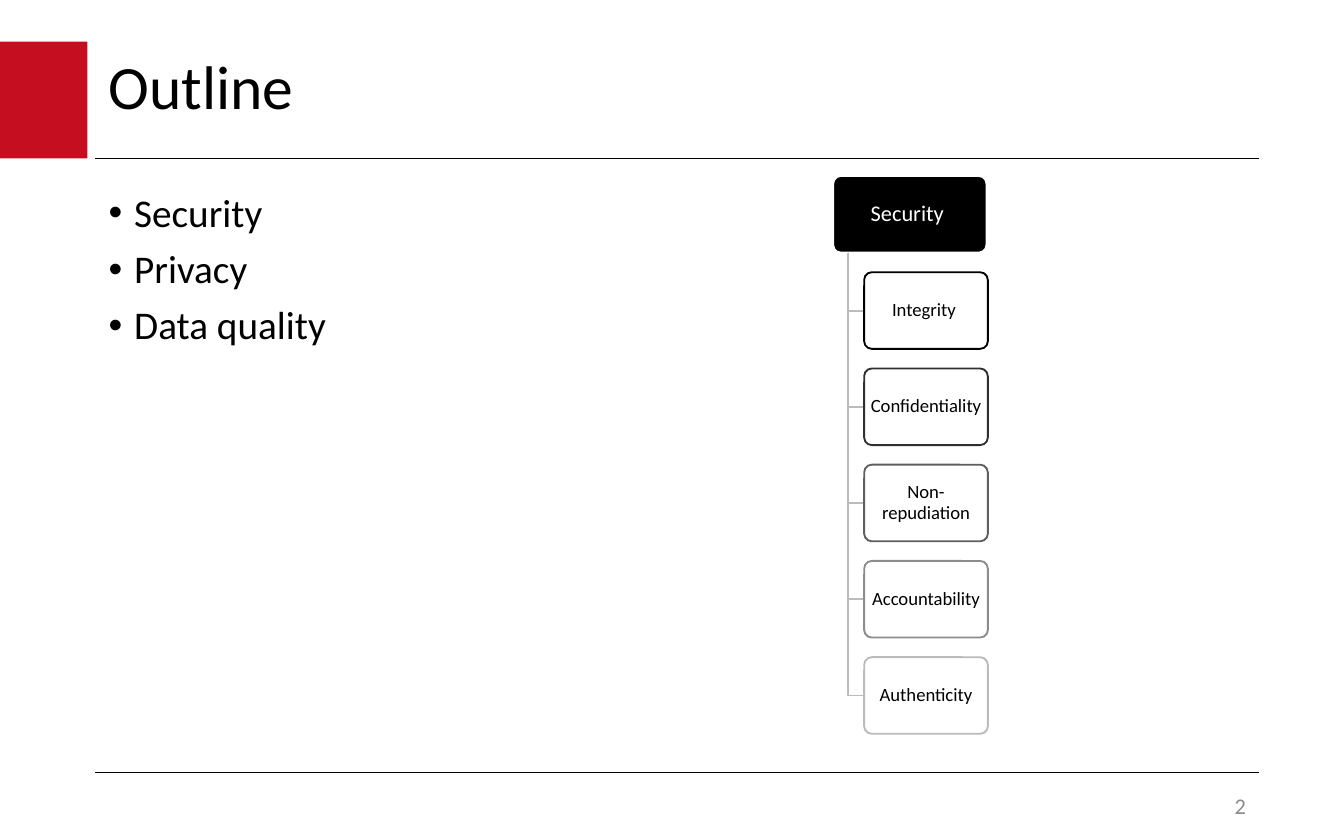
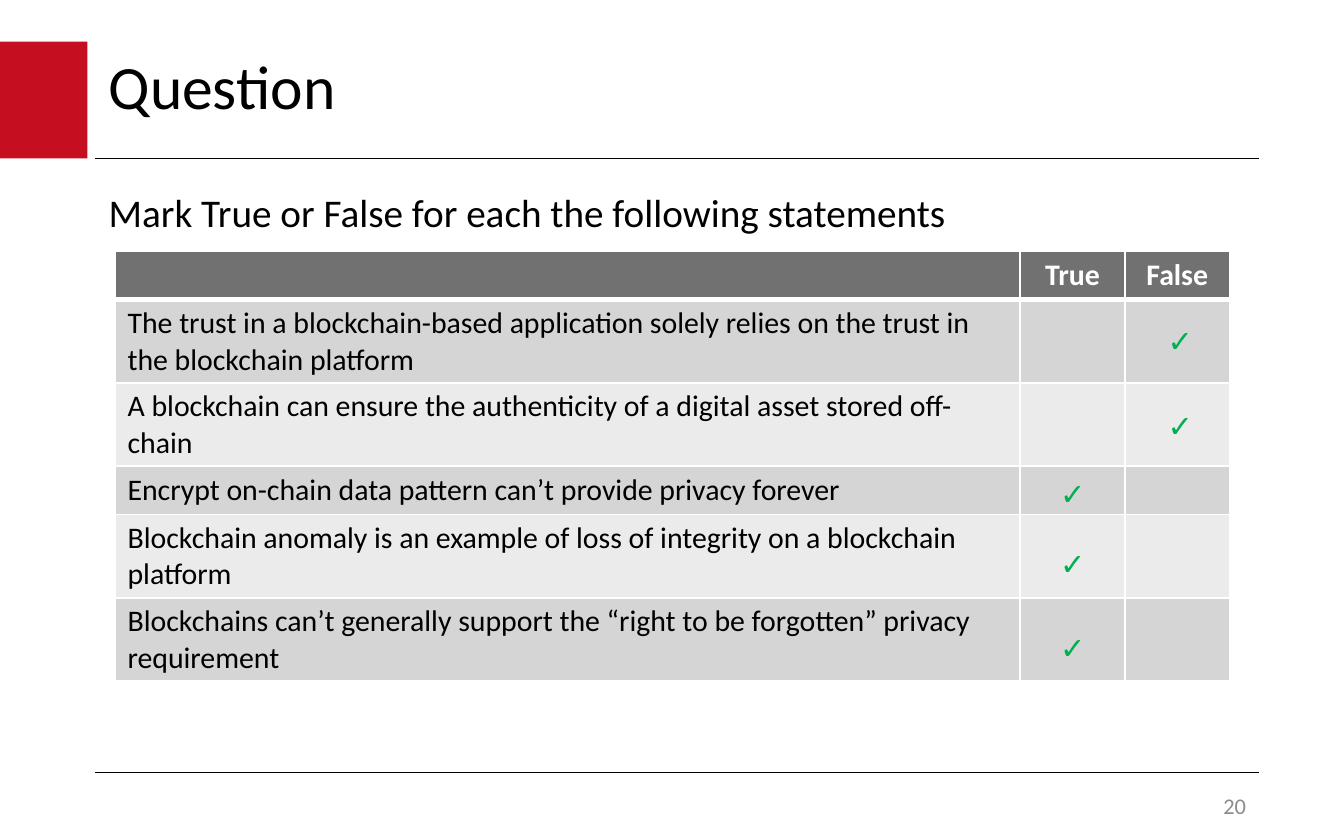
"""Build the outline and true-or-false question slides of a blockchain lecture."""
from lxml import etree
from pptx import Presentation
from pptx.dml.color import RGBColor
from pptx.enum.shapes import MSO_CONNECTOR, MSO_SHAPE
from pptx.enum.text import MSO_ANCHOR, PP_ALIGN
from pptx.oxml.ns import qn
from pptx.util import Inches, Pt

RECTANGLE, ROUNDED = MSO_SHAPE.RECTANGLE, MSO_SHAPE.ROUNDED_RECTANGLE
STRAIGHT = MSO_CONNECTOR.STRAIGHT
LEFT, CENTER, RIGHT = PP_ALIGN.LEFT, PP_ALIGN.CENTER, PP_ALIGN.RIGHT
TOP, MIDDLE = MSO_ANCHOR.TOP, MSO_ANCHOR.MIDDLE

BLACK = RGBColor(0x00, 0x00, 0x00)
WHITE = RGBColor(0xFF, 0xFF, 0xFF)
RED = RGBColor(0xC5, 0x0E, 0x1F)
GREEN = RGBColor(0x00, 0xB0, 0x50)
NUMBER_GRAY = RGBColor(0x8C, 0x8C, 0x8C)
BRANCH_GRAY = RGBColor(0xBB, 0xBB, 0xBB)
HEADER_GRAY = RGBColor(0x71, 0x71, 0x71)
BAND_GRAYS = [RGBColor(0xEB, 0xEB, 0xEB), RGBColor(0xD5, 0xD5, 0xD5)]
FONT, TICK_FONT = "Calibri", "Roboto"


def write(text_frame, text, size, color, align=LEFT, spacing=0.9, bold=False, font=FONT):
    text_frame.text = text
    for paragraph in text_frame.paragraphs:
        paragraph.alignment = align
        paragraph.line_spacing = spacing
        for run in paragraph.runs:
            run.font.name = font
            run.font.size = Pt(size)
            run.font.bold = bold
            run.font.color.rgb = color


def add_text_frame(slide, left, top, width, height, anchor=TOP, wrap=True):
    box = slide.shapes.add_textbox(Inches(left), Inches(top), Inches(width), Inches(height))
    box.text_frame.word_wrap = wrap
    box.text_frame.vertical_anchor = anchor
    return box.text_frame


presentation = Presentation()
presentation.slide_width = Inches(10)
presentation.slide_height = Inches(6.25)

slides, bodies = [], []
for title, body, number in [
    ("Outline", "Security\nPrivacy\nData quality", "2"),
    ("Question", "Mark True or False for each the following statements", "20"),
]:
    slide = presentation.slides.add_slide(presentation.slide_layouts[6])
    block = slide.shapes.add_shape(RECTANGLE, 0, Inches(0.31), Inches(0.65), Inches(0.87))
    block.shadow.inherit = False
    block.fill.solid()
    block.fill.fore_color.rgb = RED
    block.line.fill.background()
    for y in (1.18, 5.75):
        rule = slide.shapes.add_connector(STRAIGHT, Inches(0.71), Inches(y), Inches(9.37), Inches(y))
        rule.line.color.rgb = BLACK
        rule.line.width = Pt(0.75)
        etree.SubElement(rule._element.spPr, qn("a:effectLst"))
    body_frame = add_text_frame(slide, 0.71, 1.39, 8.65, 4.04)
    write(body_frame, body, 21, BLACK)
    for paragraph in body_frame.paragraphs:
        paragraph.space_before = Pt(7.5)
    write(add_text_frame(slide, 0.71, 0.31, 7.25, 0.71, MIDDLE), title, 33, BLACK)
    write(add_text_frame(slide, 7.34, 5.87, 2.03, 0.25, MIDDLE), number, 12, NUMBER_GRAY, RIGHT, 1)
    slides.append(slide)
    bodies.append(body_frame)

outline, question = slides

for paragraph in bodies[0].paragraphs:
    properties = paragraph._p.get_or_add_pPr()
    properties.set("marL", str(Inches(0.19)))
    properties.set("indent", str(-Inches(0.19)))
    etree.SubElement(properties, qn("a:buFont"), typeface="Arial")
    etree.SubElement(properties, qn("a:buChar"), char="•")

NODE_HEIGHT, NODE_STEP = 0.57, 0.716
TREE_TOP, TRUNK_X, BRANCH_X = 1.31, 6.31, 6.43
aspects = [
    ("Integrity ", BLACK),
    ("Confidentiality", RGBColor(0x2F, 0x2F, 0x2F)),
    ("Non-repudiation", RGBColor(0x5E, 0x5E, 0x5E)),
    ("Accountability", RGBColor(0x8C, 0x8C, 0x8C)),
    ("Authenticity", BRANCH_GRAY),
]
nodes = [("Security ", 6.2, 1.14, BLACK, WHITE, WHITE, 12, 0.03)]
nodes += [(name, BRANCH_X, 0.92, WHITE, line, BLACK, 10, 0.02) for name, line in aspects]
for index, (name, left, width, fill, line, color, size, inset) in enumerate(nodes):
    top = TREE_TOP + index * NODE_STEP
    if index:
        middle = top + NODE_HEIGHT / 2
        builder = outline.shapes.build_freeform(Inches(TRUNK_X), Inches(TREE_TOP + NODE_HEIGHT))
        builder.add_line_segments(
            [(Inches(TRUNK_X), Inches(middle)), (Inches(BRANCH_X), Inches(middle))], close=False)
        branch = builder.convert_to_shape()
        branch.shadow.inherit = False
        branch.fill.background()
        branch.line.color.rgb = BRANCH_GRAY
        branch.line.width = Pt(1)
    node = outline.shapes.add_shape(ROUNDED, Inches(left), Inches(top), Inches(width), Inches(NODE_HEIGHT))
    node.adjustments[0] = 0.1
    node.shadow.inherit = False
    node.fill.solid()
    node.fill.fore_color.rgb = fill
    node.line.color.rgb = line
    node.line.width = Pt(1)
    frame = node.text_frame
    frame.word_wrap = True
    frame.vertical_anchor = MIDDLE
    frame.margin_left = frame.margin_right = Inches(inset)
    frame.margin_top = frame.margin_bottom = Inches(inset - 0.01)
    write(frame, name, size, color, CENTER)

rows = [
    ("", "True", "False"),
    ("The trust in a blockchain-based application solely relies on the trust in the blockchain platform", "", ""),
    ("A blockchain can ensure the authenticity of a digital asset stored off-chain", "", ""),
    ("Encrypt on-chain data pattern can’t provide privacy forever", "", ""),
    ("Blockchain anomaly is an example of loss of integrity on a blockchain platform", "", ""),
    ("Blockchains can’t generally support the “right to be forgotten” privacy requirement", "", ""),
]
table = question.shapes.add_table(
    len(rows), 3, Inches(0.86), Inches(1.87), Inches(8.29), Inches(3.2)).table
for column, width in zip(table.columns, (6.73, 0.78, 0.78)):
    column.width = Inches(width)
for row, height in zip(table.rows, (0.36, 0.62, 0.62, 0.36, 0.62, 0.62)):
    row.height = Inches(height)
for row_index, texts in enumerate(rows):
    header = row_index == 0
    for column_index, text in enumerate(texts):
        cell = table.cell(row_index, column_index)
        cell.margin_left = cell.margin_right = Inches(0.09)
        cell.margin_top = cell.margin_bottom = Inches(0.04)
        write(cell.text_frame, text, 16, WHITE if header else BLACK,
              CENTER if column_index else LEFT, 1, header)
        cell.text_frame.paragraphs[0]._p.get_or_add_endParaRPr().set("sz", "1600")
        for side in ("L", "R", "T", "B"):
            below_header = (row_index, side) in ((0, "B"), (1, "T"))
            border = etree.SubElement(
                cell._tc.get_or_add_tcPr(), qn(f"a:ln{side}"), w=str(Pt(3 if below_header else 1)))
            border_fill = etree.SubElement(border, qn("a:solidFill"))
            etree.SubElement(border_fill, qn("a:srgbClr"), val=str(WHITE))
        cell.fill.solid()
        cell.fill.fore_color.rgb = HEADER_GRAY if header else BAND_GRAYS[row_index % 2]

TRUE_X, FALSE_X = 7.79, 8.59
for left, top in [(FALSE_X, 2.35), (FALSE_X, 2.98), (TRUE_X, 3.49), (TRUE_X, 4.01), (TRUE_X, 4.63)]:
    tick_frame = add_text_frame(question, left, top, 0.38, 0.37, wrap=False)
    write(tick_frame, "✓", 16.2, GREEN, CENTER, 1, True, TICK_FONT)

presentation.save("out.pptx")
